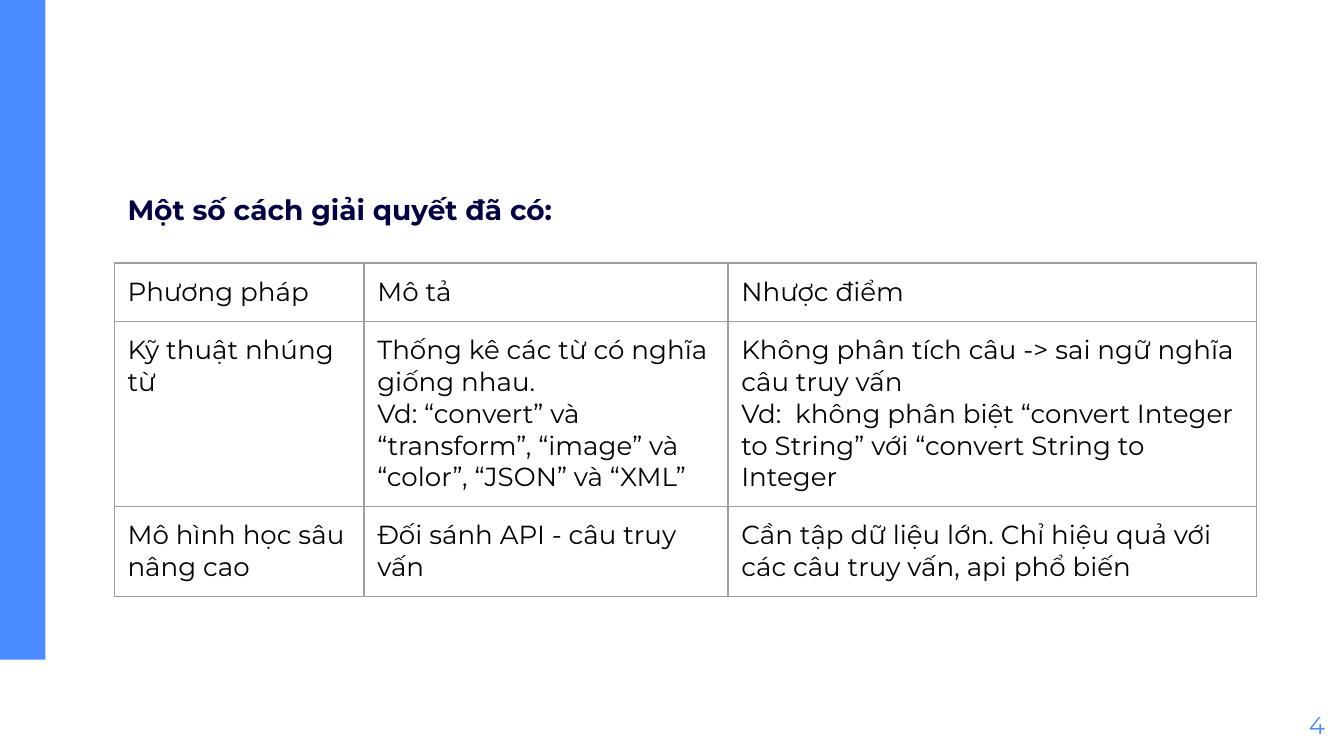
from dataclasses import dataclass

from lxml.etree import SubElement
from pptx import Presentation
from pptx.dml.color import RGBColor
from pptx.enum.shapes import MSO_SHAPE
from pptx.enum.text import MSO_ANCHOR, MSO_AUTO_SIZE, PP_ALIGN
from pptx.oxml.ns import qn
from pptx.util import Cm, Pt


@dataclass(frozen=True)
class Theme:
    font: str = "Montserrat"
    accent: str = "4A8CFF"
    heading: str = "000043"
    ink: str = "000000"
    grid: str = "9E9E9E"
    heading_size: float = 15
    table_size: float = 14
    number_size: float = 13
    grid_width: float = 0.75
    inset: float = 0.25


@dataclass(frozen=True)
class Method:
    name: str
    description: tuple[str, ...]
    drawback: tuple[str, ...]


THEME = Theme()
COLUMN_WIDTHS = (4.72, 6.88, 9.98)
ROW_HEIGHTS = (1.1, 3.5, 1.7)
METHODS = (
    Method("Phương pháp", ("Mô tả",), ("Nhược điểm",)),
    Method(
        "Kỹ thuật nhúng từ",
        ("Thống kê các từ có nghĩa giống nhau.",
         "Vd: “convert” và “transform”, “image” và “color”, “JSON” và “XML”"),
        ("Không phân tích câu -> sai ngữ nghĩa câu truy vấn",
         "Vd:  không phân biệt “convert Integer to String” với “convert String to Integer"),
    ),
    Method(
        "Mô hình học sâu nâng cao",
        ("Đối sánh API - câu truy vấn",),
        ("Cần tập dữ liệu lớn. Chỉ hiệu quả với các câu truy vấn, api phổ biến",),
    ),
)


def set_insets(target) -> None:
    """Give a text frame or a table cell the same margin on all sides."""
    target.margin_left = target.margin_right = Cm(THEME.inset)
    target.margin_top = target.margin_bottom = Cm(THEME.inset)


def write(frame, lines: tuple[str, ...], size: float, color: str,
          align=PP_ALIGN.LEFT, bold: bool = False, spacing: float = 1.0) -> None:
    """Fill a text frame with one paragraph per line."""
    frame.word_wrap = True
    for index, line in enumerate(lines):
        para = frame.add_paragraph() if index else frame.paragraphs[0]
        para.alignment = align
        para.line_spacing = spacing
        span = para.add_run()
        span.text = line
        span.font.name = THEME.font
        span.font.size = Pt(size)
        span.font.bold = bold
        span.font.color.rgb = RGBColor.from_string(color)


def draw_borders(cell) -> None:
    """Outline all four sides of a cell; lines must precede the fill."""
    properties = cell._tc.get_or_add_tcPr()
    for index, side in enumerate(("a:lnL", "a:lnR", "a:lnT", "a:lnB")):
        line = SubElement(properties, qn(side), w=str(Pt(THEME.grid_width)))
        fill = SubElement(line, qn("a:solidFill"))
        SubElement(fill, qn("a:srgbClr"), val=THEME.grid)
        properties.insert(index, line)


def add_side_bar(page) -> None:
    bar = page.shapes.add_shape(MSO_SHAPE.RECTANGLE, 0, 0, Cm(0.86), Cm(12.47))
    bar.shadow.inherit = False
    bar.fill.solid()
    bar.fill.fore_color.rgb = RGBColor.from_string(THEME.accent)
    bar.line.fill.background()


def add_heading(page, text: str) -> None:
    box = page.shapes.title
    box.left, box.top, box.width, box.height = Cm(2.16), Cm(3.3), Cm(21.06), Cm(9.32)
    frame = box.text_frame
    frame.auto_size = MSO_AUTO_SIZE.NONE
    frame.vertical_anchor = MSO_ANCHOR.TOP
    set_insets(frame)
    write(frame, (text,), THEME.heading_size, THEME.heading,
          PP_ALIGN.JUSTIFY, bold=True, spacing=1.15)


def add_page_number(page, number: str) -> None:
    box = page.shapes.add_textbox(Cm(23.77), Cm(13.18), Cm(1.52), Cm(1.09))
    set_insets(box.text_frame)
    write(box.text_frame, (number,), THEME.number_size, THEME.accent, PP_ALIGN.RIGHT)


def add_method_table(page, methods: tuple[Method, ...]) -> None:
    table = page.shapes.add_table(
        len(methods), len(COLUMN_WIDTHS), Cm(2.16), Cm(4.97),
        Cm(sum(COLUMN_WIDTHS)), Cm(sum(ROW_HEIGHTS))).table
    table.first_row = table.horz_banding = False
    for column, width in zip(table.columns, COLUMN_WIDTHS):
        column.width = Cm(width)
    for row, height, method in zip(table.rows, ROW_HEIGHTS, methods):
        row.height = Cm(height)
        contents = ((method.name,), method.description, method.drawback)
        for cell, lines in zip(row.cells, contents):
            set_insets(cell)
            cell.fill.background()
            draw_borders(cell)
            write(cell.text_frame, lines, THEME.table_size, THEME.ink)


def main() -> None:
    deck = Presentation()
    deck.slide_width, deck.slide_height = Cm(25.4), Cm(14.29)
    page = deck.slides.add_slide(deck.slide_layouts[5])  # title only

    # Frame of the page
    add_side_bar(page)
    add_page_number(page, "4")

    # Content
    add_heading(page, "Một số cách giải quyết đã có:")
    add_method_table(page, METHODS)

    deck.save("out.pptx")


if __name__ == "__main__":
    main()
